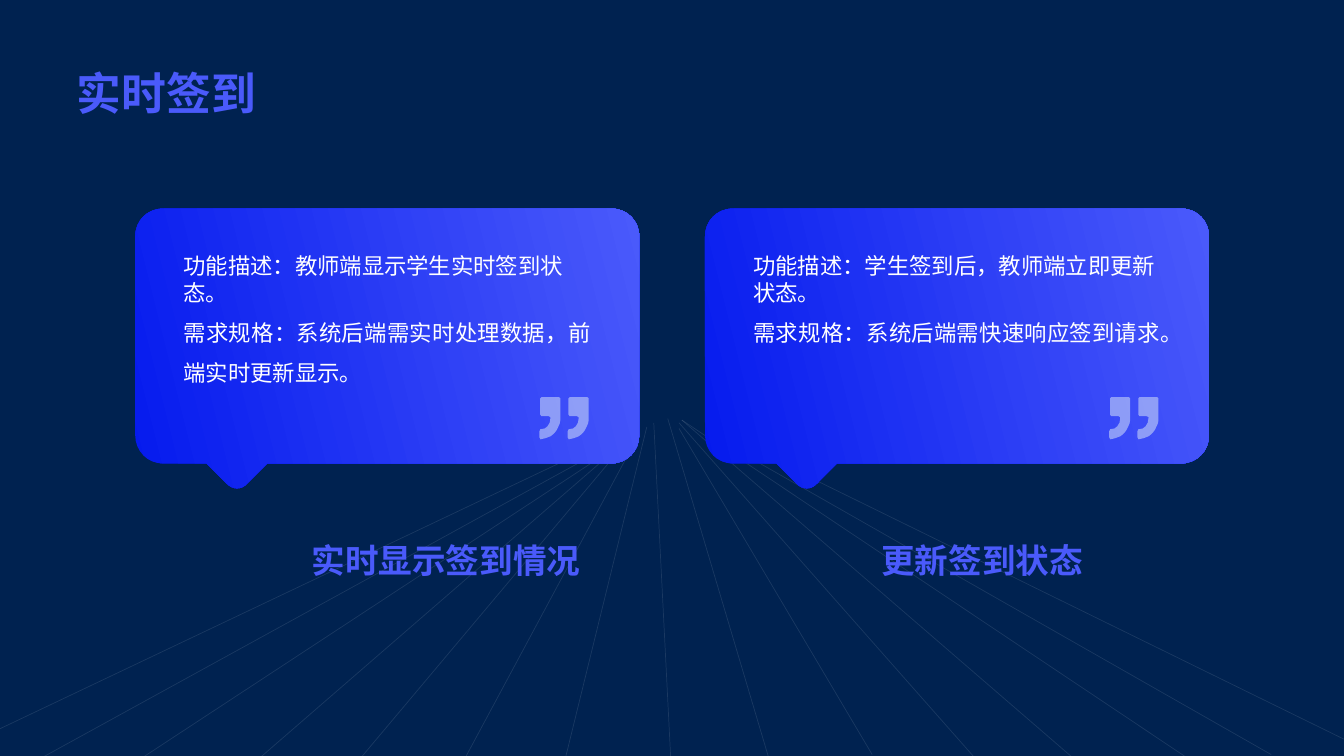
from lxml.etree import SubElement
from pptx import Presentation
from pptx.dml.color import RGBColor
from pptx.enum.shapes import MSO_CONNECTOR as Link
from pptx.enum.text import MSO_ANCHOR as Anchor, PP_ALIGN as Align
from pptx.oxml.ns import qn
from pptx.util import Pt

# Content
TITLE = "实时签到"
CARDS = [
    ("实时显示签到情况",
     "功能描述：教师端显示学生实时签到状态。",
     "需求规格：系统后端需实时处理数据，前端实时更新显示。"),
    ("更新签到状态",
     "功能描述：学生签到后，教师端立即更新状态。",
     "需求规格：系统后端需快速响应签到请求。"),
]

NAVY = RGBColor(0x00, 0x22, 0x50)
BLUE = RGBColor(0x05, 0x1A, 0xEE)
VIOLET = RGBColor(0x4A, 0x5A, 0xFB)
PALE = RGBColor(0xE1, 0xEE, 0xF7)
WHITE = RGBColor(0xFF, 0xFF, 0xFF)
SANS = "Noto Sans CJK SC"

# Background rays: from x, y to x, y
RAYS = [
    (479, 540, 467, 302), (549, 541, 477, 299), (623, 539, 485, 306),
    (696, 541, 485, 302), (766, 541, 487, 300), (846, 540, 487, 300),
    (908, 539, 506, 310), (960, 528, 505, 305), (-1, 521, 454, 305),
    (23, 545, 451, 310), (102, 541, 448, 314), (186, 541, 449, 313),
    (258, 541, 453, 309), (333, 540, 456, 311), (404, 541, 462, 305),
]

# Outlines: two numbers are a line to a point, six are a Bezier curve
BUBBLE = [
    (20, 0), (8.6, 0, 0, 8.6, 0, 20), (0, 162), (0, 173, 8.6, 182, 20, 182),
    (51, 182), (65.5, 196.5), (67.5, 198.7, 70, 199.8, 72.7, 199.8),
    (75.4, 199.8, 77.9, 198.7, 79.9, 196.5), (94.3, 182), (340, 182),
    (351.4, 182, 360, 173, 360, 162), (360, 20), (360, 8.6, 351.4, 0, 340, 0),
]
QUOTE = [
    (0, 24.5), (0, 23.8, 0.4, 23.2, 0.7, 23), (2.9, 23, 5, 22.3, 5.8, 20.9),
    (7.2, 19.4, 7.9, 17.3, 7.9, 15.1), (7.9, 14.4),
    (7.9, 13.9, 7.4, 13.7, 6.7, 13.7), (1.4, 13.7),
    (0.9, 13.7, 0.6, 13.2, 0.6, 12.5), (0.6, 0.9), (0.6, 0.4, 0.9, 0, 1.5, 0),
    (14, 0), (14.6, 0, 15, 0.4, 15, 0.9), (15, 15),
    (15, 18, 14.4, 20.2, 13, 22.3), (12.2, 24.5, 10, 26.6, 8, 28),
    (5.8, 29, 3.4, 29.9, 0.8, 30.2), (0.4, 30.2, 0, 29.6, 0, 28.8),
]
LEFT, TOP, STEP = 96.6, 149, 407
GAP = 20.2


def shift(path, x):
    return [tuple(v + x * (i % 2 == 0) for i, v in enumerate(part))
            for part in path]


def draw(x, y, *loops):
    """Build a shape from outlines, then bend the lines that are curves."""
    pen = None
    for loop in loops:
        dots = [(Pt(x + part[-2]), Pt(y + part[-1])) for part in loop]
        if pen:
            pen.move_to(*dots[0])
        else:
            pen = slide.shapes.build_freeform(*dots[0])
        pen.add_line_segments(dots[1:])
    form = pen.convert_to_shape()
    path = next(form._element.iter(qn("a:path")))
    parts = [part for loop in loops for part in loop[1:] + [None]]
    legs = [leg for leg in path if leg.tag != qn("a:moveTo")]
    for part, leg in zip(parts, legs):
        if part and len(part) == 6:
            leg.tag = qn("a:cubicBezTo")
            for i in (0, 2):
                spot = SubElement(leg, qn("a:pt"),
                                  x=str(Pt(x + part[i]) - form.left),
                                  y=str(Pt(y + part[i + 1]) - form.top))
                leg.insert(i // 2, spot)
    form.shadow.inherit = False
    form.line.fill.background()
    return form


def fade(shape, share):
    for tint in shape._element.spPr.iter(qn("a:srgbClr")):
        SubElement(tint, qn("a:alpha"), val=str(share * 1000))


def style(para, size, color, name=SANS, bold=False):
    font = para.font
    font.size, font.name, font.bold = Pt(size), name, bold
    font.color.rgb = color
    base = para._p.pPr.find(qn("a:defRPr"))
    SubElement(base, qn("a:ea"), typeface=SANS)


def inset(frame, left=0, top=0, right=0):
    frame.word_wrap = True
    frame.margin_left, frame.margin_top = Pt(left), Pt(top)
    frame.margin_right, frame.margin_bottom = Pt(right), 0


deck = Presentation()
deck.slide_width, deck.slide_height = Pt(960), Pt(540)
layout = deck.slide_layouts[5]
slide = deck.slides.add_slide(layout)
slide.background.fill.solid()
slide.background.fill.fore_color.rgb = NAVY

# Rays belong to the layout
for x, y, far, high in RAYS:
    ray = slide.shapes.add_connector(Link.STRAIGHT, Pt(x), Pt(y), Pt(far), Pt(high))
    ray.line.color.rgb = WHITE
    ray.line.width = Pt(0.5)
    fade(ray, 10)
    SubElement(ray._element.spPr, qn("a:effectLst"))
    layout.shapes.element.append(ray._element)

# Title
title = slide.shapes.title
title.left, title.top, title.width, title.height = Pt(54.7), Pt(28), Pt(850), Pt(57)
head = title.text_frame
head.text = TITLE
head.vertical_anchor = Anchor.BOTTOM
inset(head)
head.paragraphs[0].alignment = Align.LEFT
style(head.paragraphs[0], 32, VIOLET, "Arial", True)

# Cards
for n, (label, about, need) in enumerate(CARDS):
    x = LEFT + n * STEP

    # Speech bubble
    card = draw(x, TOP, BUBBLE)
    card.fill.gradient()
    card.fill.gradient_angle = 14
    for stop, color, spot in zip(card.fill.gradient_stops, (BLUE, VIOLET), (0, 1)):
        stop.color.rgb = color
        stop.position = spot
    body = card.text_frame
    inset(body, 34.5, 31, 34.5)
    body.vertical_anchor = Anchor.TOP
    rows = [(about, Align.LEFT, 19.2, "0"), (need, Align.JUSTIFY, 28.6, "1")]
    for i, (text, align, pitch, hang) in enumerate(rows):
        para = body.add_paragraph() if i else body.paragraphs[0]
        para.text = text
        para.alignment = align
        para.line_spacing = Pt(pitch)
        para._p.get_or_add_pPr().set("hangingPunct", hang)
        style(para, 16, WHITE)

    # Quote mark
    mark = draw(x + 288.7, TOP + 134.6, shift(QUOTE, GAP), QUOTE)
    mark.fill.solid()
    mark.fill.fore_color.rgb = PALE
    fade(mark, 50)

    # Caption
    box = slide.shapes.add_textbox(Pt(x + 126), Pt(TOP + 221), Pt(227), Pt(60))
    note = box.text_frame
    note.text = label
    note.vertical_anchor = Anchor.MIDDLE
    inset(note)
    style(note.paragraphs[0], 24, VIOLET, bold=True)

deck.save("out.pptx")
